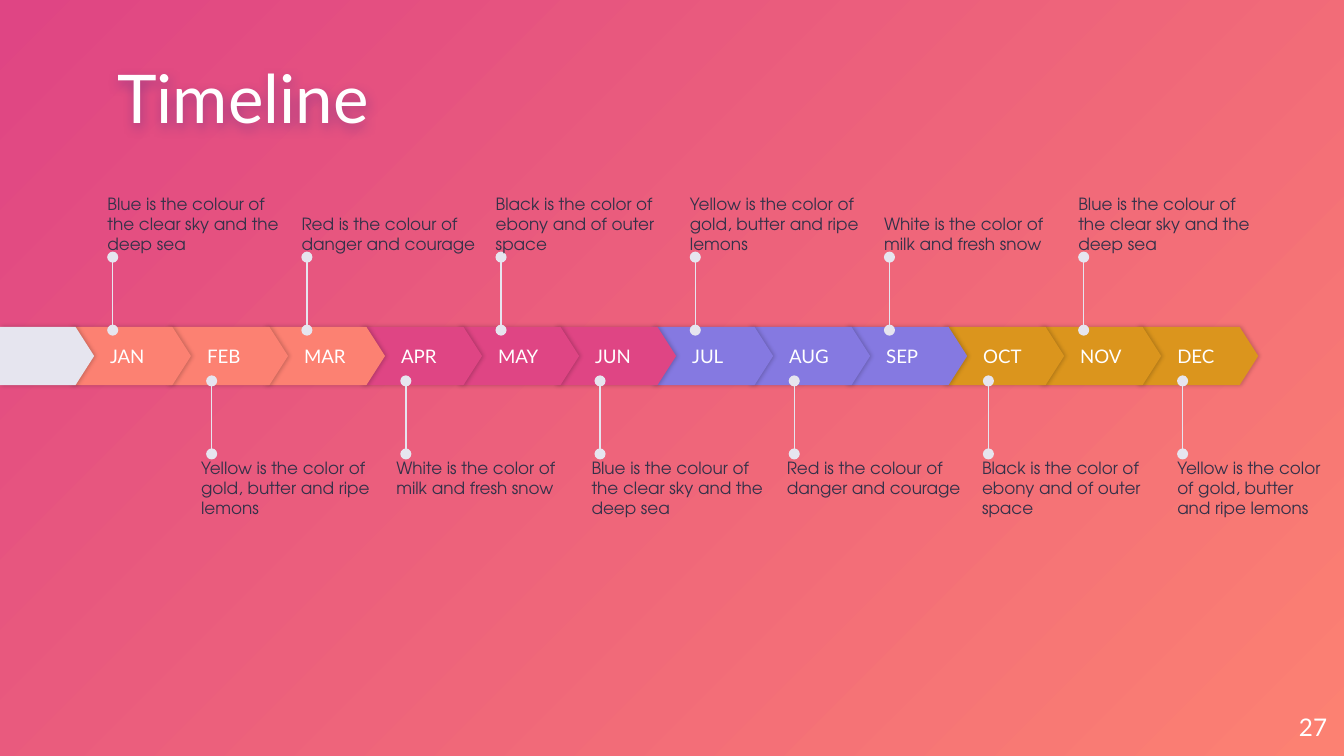
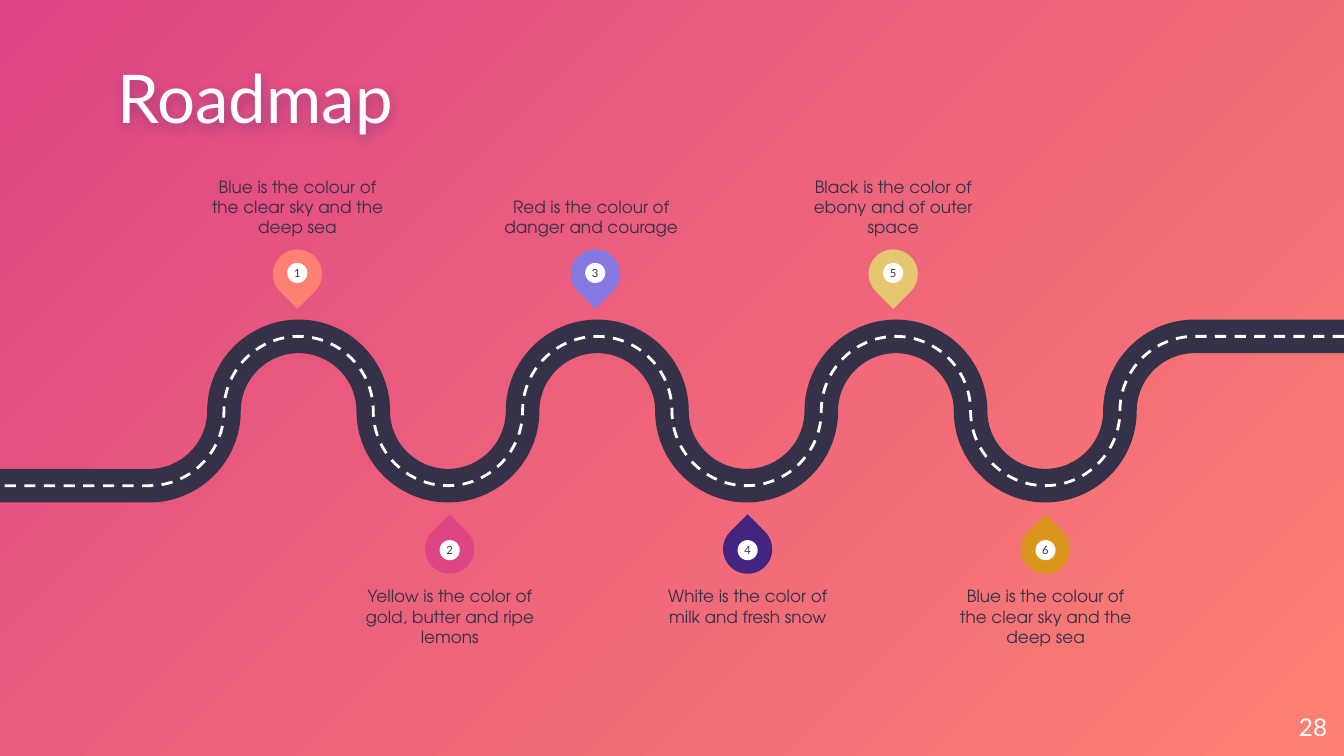
from pptx import Presentation
from pptx import util as u
from pptx.dml.color import RGBColor
from pptx.enum import dml, shapes, text
from pptx.oxml import parse_xml
from pptx.oxml.ns import nsdecls, qn

# Shared look
WHITE, DARK, PALE, BLACK = "FFFFFF", "353149", "E6E5EF", "000000"
CORAL, PINK, VIOLET = "FC8172", "DF4584", "8579E1"
AMBER, SAND, PURPLE = "DB951D", "E5C771", "432581"
PAGE_W, PAGE_H = 25.4, 14.29

TITLE = {"name": "Lato", "size": u.Pt(36), "color": WHITE}
NUMBER = {"name": "Lato", "size": u.Pt(13), "color": WHITE}
MONTH = {"name": "Lato", "size": u.Pt(10), "color": WHITE}
NOTE = {"name": "TeX Gyre Adventor", "size": u.Pt(9), "color": DARK}
PIN_NUMBER = {"name": "Lato", "size": u.Pt(6), "color": DARK}

LEFT, CENTER, RIGHT = (text.PP_ALIGN.LEFT, text.PP_ALIGN.CENTER,
                       text.PP_ALIGN.RIGHT)
TOP, MIDDLE, BOTTOM = (text.MSO_ANCHOR.TOP, text.MSO_ANCHOR.MIDDLE,
                       text.MSO_ANCHOR.BOTTOM)

# Wording
BLUE_NOTE = "Blue is the colour of the clear sky and the deep sea"
YELLOW_NOTE = "Yellow is the color of gold, butter and ripe lemons"
RED_NOTE = "Red is the colour of danger and courage"
WHITE_NOTE = "White is the color of milk and fresh snow"
BLACK_NOTE = "Black is the color of ebony and of outer space"

MONTHS = ["JAN", "FEB", "MAR", "APR", "MAY", "JUN",
          "JUL", "AUG", "SEP", "OCT", "NOV", "DEC"]
QUARTERS = [CORAL, PINK, VIOLET, AMBER]
NOTES_ABOVE = [BLUE_NOTE, RED_NOTE, BLACK_NOTE,
               YELLOW_NOTE, WHITE_NOTE, BLUE_NOTE]
NOTES_BELOW = [YELLOW_NOTE, WHITE_NOTE, BLUE_NOTE,
               RED_NOTE, BLACK_NOTE, YELLOW_NOTE]

# Milestones: colour, note, sideways shift of the note
MILESTONES = [
    (CORAL, BLUE_NOTE, 0), (PINK, YELLOW_NOTE, 0),
    (VIOLET, RED_NOTE, -0.08), (PURPLE, WHITE_NOTE, 0),
    (SAND, BLACK_NOTE, 0), (AMBER, BLUE_NOTE, 0),
]


def rgb(value):
    return RGBColor.from_string(value)


def cm(*lengths):
    return [u.Cm(length) for length in lengths]


def add_effects(shape, color=BLACK, alpha=0, blur=0, distance=0, angle=0):
    """Replace the theme shadow by the given one, or by none."""
    shadow = ""
    if alpha:
        shadow = (f'<a:outerShdw blurRad="{u.Pt(blur)}" dist="{u.Pt(distance)}" '
                  f'dir="{angle * 60000}" algn="ctr" rotWithShape="0">'
                  f'<a:srgbClr val="{color}"><a:alpha val="{alpha * 1000}"/>'
                  '</a:srgbClr></a:outerShdw>')
    shape.element.spPr.append(parse_xml(
        f'<a:effectLst {nsdecls("a")}>{shadow}</a:effectLst>'))


def write(shape, words, style, align=LEFT, anchor=TOP, inset=0):
    frame = shape.text_frame
    settings = {"word_wrap": True, "auto_size": text.MSO_AUTO_SIZE.NONE,
                "vertical_anchor": anchor, "margin_left": u.Cm(inset),
                "margin_right": 0, "margin_top": 0, "margin_bottom": 0}
    for name, value in settings.items():
        setattr(frame, name, value)
    para = frame.paragraphs[0]
    para.alignment = align
    span = para.add_run()
    span.text = words
    for name, value in style.items():
        if name == "color":
            span.font.color.rgb = rgb(value)
        else:
            setattr(span.font, name, value)
    return para


def add_text(page, place, words, style, align=LEFT, anchor=TOP):
    box = page.shapes.add_textbox(*cm(*place))
    write(box, words, style, align, anchor)


def add_solid(parent, kind, place, color, **shadow):
    shape = parent.shapes.add_shape(kind, *cm(*place))
    shape.fill.solid()
    shape.fill.fore_color.rgb = rgb(color)
    shape.line.fill.background()
    add_effects(shape, **shadow)
    return shape


def set_background(deck):
    """Corner-to-corner gradient on the master."""
    master = deck.slide_master
    fill = master.background.fill
    fill.gradient()
    for stop, color in zip(fill.gradient_stops, (CORAL, PINK)):
        stop.color.rgb = rgb(color)
    gradient = master.element.find(".//" + qn("a:gradFill"))
    gradient.remove(gradient.find(qn("a:lin")))
    gradient.append(parse_xml(
        f'<a:path {nsdecls("a")} path="circle">'
        '<a:fillToRect l="100000" t="100000"/></a:path>'))


def add_page(deck, title, number):
    page = deck.slides.add_slide(deck.slide_layouts[5])
    heading = page.shapes.title
    heading.left, heading.top, heading.width, heading.height = cm(
        2.22, 1.04, 21.95, 1.57)
    write(heading, title, TITLE, anchor=BOTTOM).line_spacing = 0.9
    add_effects(heading, PURPLE, alpha=40, blur=6, distance=2, angle=90)
    add_text(page, (23.56, 13.19, 1.52, 1.09), str(number), NUMBER,
             RIGHT, MIDDLE)
    return page


# Timeline
def add_month(page, left, width, color, name=""):
    arrow = add_solid(page, shapes.MSO_SHAPE.PENTAGON, (left, 6.18, width, 1.1),
                      color, alpha=20, blur=2.2, distance=0.8)
    arrow.adjustments[0] = 0.32
    if name:
        write(arrow, name, MONTH, anchor=MIDDLE, inset=0.76)


def add_stem(page, x, start, end):
    stem = page.shapes.add_connector(shapes.MSO_CONNECTOR.STRAIGHT,
                                     *cm(x, start, x, end))
    stem.line.color.rgb = rgb(PALE)
    stem.line.width = u.Pt(0.75)
    outline = stem.element.spPr.find(qn("a:ln"))
    for end_name in ("headEnd", "tailEnd"):
        outline.append(parse_xml(
            f'<a:{end_name} {nsdecls("a")} type="oval"/>'))
    add_effects(stem)


def build_timeline(deck):
    page = add_page(deck, "Timeline", 27)
    first, last = 1.32, 21.49
    step = (last - first) / (len(MONTHS) - 1)
    # Later months lie beneath earlier ones
    for index in reversed(range(len(MONTHS))):
        add_month(page, first + index * step, 2.29, QUARTERS[index // 3],
                  MONTHS[index])
    add_month(page, 0, 1.78, PALE)

    for index, note in enumerate(NOTES_ABOVE):
        add_stem(page, 2.13 + index * 3.67, 6.24, 4.86)
        add_text(page, (2.03 + index * 3.67, 3.33, 3.48, 1.47), note, NOTE,
                 anchor=BOTTOM)
    for index, note in enumerate(NOTES_BELOW):
        add_stem(page, 4 + index * 3.67, 8.58, 7.2)
        width = 2.87 if index == len(NOTES_BELOW) - 1 else 3.48
        add_text(page, (3.8 + index * 3.69, 8.65, width, 1.47), note, NOTE)


# Roadmap
def road_points():
    """Ends of the quarter bends, from right to left."""
    radius, middle = PAGE_W / 18, 7.77
    heights = [middle - radius, middle, middle + radius, middle]
    bends = [(radius * x, heights[x % 4]) for x in range(16, 1, -1)]
    points = [(PAGE_W, heights[0]), *bends, (0, heights[2])]
    return [cm(*point) for point in points]


def round_bends(road):
    """Turn every segment but the flat ends into a quarter circle."""
    outline = road.element.find(".//" + qn("a:path"))
    segments = list(outline)
    ends = [(int(point.get("x")), int(point.get("y")))
            for point in outline.iter(qn("a:pt"))]
    bow = 0.55
    for index in range(2, len(ends) - 1):
        (x0, y0), (x1, y1) = ends[index - 1], ends[index]
        dx, dy = round(bow * (x1 - x0)), round(bow * (y1 - y0))
        if index % 2 == 0:  # leaves a crest or a trough
            controls = [(x0 + dx, y0), (x1, y1 - dy)]
        else:
            controls = [(x0, y0 + dy), (x1 - dx, y1)]
        points = "".join(f'<a:pt x="{x}" y="{y}"/>'
                         for x, y in [*controls, (x1, y1)])
        outline.replace(segments[index], parse_xml(
            f'<a:cubicBezTo {nsdecls("a")}>{points}</a:cubicBezTo>'))


def add_road(page, color, width, dash=None):
    start, *others = road_points()
    builder = page.shapes.build_freeform(*start)
    builder.add_line_segments(others, close=False)
    road = builder.convert_to_shape()
    round_bends(road)
    road.fill.background()
    road.line.color.rgb = rgb(color)
    road.line.width = u.Pt(width)
    if dash:
        road.line.dash_style = dash
    add_effects(road)


def add_pin(page, x, y, dot_y, rotation, color, number):
    pin = page.shapes.add_group_shape()
    size, dot = 0.93, 0.38
    drop = add_solid(pin, shapes.MSO_SHAPE.TEAR,
                     (x - size / 2, y - size / 2, size, size), color)
    drop.rotation = rotation
    disc = add_solid(pin, shapes.MSO_SHAPE.OVAL,
                     (x - dot / 2, dot_y - dot / 2, dot, dot), WHITE)
    write(disc, str(number), PIN_NUMBER, CENTER, MIDDLE)


def build_roadmap(deck):
    page = add_page(deck, "Roadmap", 28)
    add_road(page, DARK, 18)
    add_road(page, WHITE, 1.5, dml.MSO_LINE.DASH)
    note_width = 3.54
    for index, (color, note, shift) in enumerate(MILESTONES):
        pair, below = divmod(index, 2)
        x = (8.5 if below else 5.62) + pair * 5.63
        if below:
            y, dot_y, rotation, note_top, anchor = 10.38, 10.4, 315, 11.08, TOP
        else:
            y, dot_y, rotation, note_top, anchor = 5.18, 5.16, 135, 3.01, BOTTOM
        add_pin(page, x, y, dot_y, rotation, color, index + 1)
        add_text(page, (x - note_width / 2 + shift, note_top, note_width, 1.47),
                 note, NOTE, CENTER, anchor)


def main():
    deck = Presentation()
    deck.slide_width, deck.slide_height = cm(PAGE_W, PAGE_H)
    set_background(deck)
    build_timeline(deck)
    build_roadmap(deck)
    deck.save("out.pptx")


if __name__ == "__main__":
    main()
